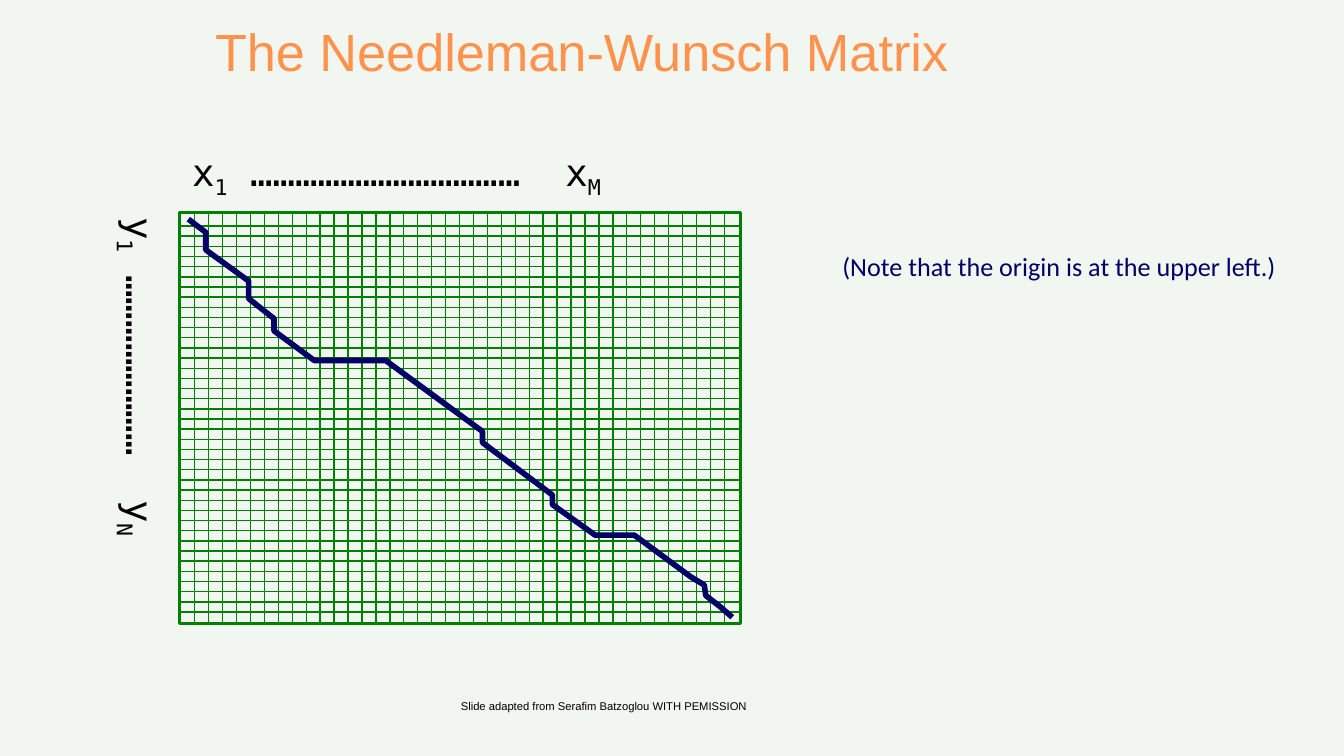
from lxml.etree import SubElement
from pptx import Presentation
from pptx.dml.color import RGBColor
from pptx.enum.shapes import MSO_CONNECTOR as Link, MSO_SHAPE as Kind
from pptx.enum.text import MSO_ANCHOR as Anchor, PP_ALIGN as Align
from pptx.oxml.ns import qn
from pptx.util import Cm, Pt

PAPER, ORANGE, GREEN, NAVY, BLACK = "F2F6F0", "FF934D", "008000", "000066", "000000"
SANS, MONO, BODY = "Arial", "DejaVu Sans Mono", "Calibri"


def color(code):
    return RGBColor.from_string(code)


class Deck:
    def __init__(self, wide, high):
        self.prs = Presentation()
        self.prs.slide_width, self.prs.slide_height = Cm(wide), Cm(high)
        self.slide = self.prs.slides.add_slide(self.prs.slide_layouts[5])
        self.shapes = self.slide.shapes
        fill = self.slide.background.fill
        fill.solid()
        fill.fore_color.rgb = color(PAPER)

    def style(self, run, size, face, code):
        run.font.size, run.font.name = Pt(size), face
        run.font.color.rgb = color(code)

    def stroke(self, shape, code, width):
        shape.line.color.rgb = color(code)
        shape.line.width = Pt(width)

    def title(self, text, x, y, w, h):
        box = self.shapes.title
        box.left, box.top, box.width, box.height = Cm(x), Cm(y), Cm(w), Cm(h)
        frame = box.text_frame
        frame.text = text
        frame.vertical_anchor = Anchor.TOP
        frame.margin_top = frame.margin_bottom = Cm(0.25)
        para = frame.paragraphs[0]
        para.alignment, para.line_spacing = Align.LEFT, 1.1
        self.style(para.runs[0], 28, SANS, ORANGE)

    def text(self, text, x, y, w, h, size, face, code):
        box = self.shapes.add_textbox(Cm(x), Cm(y), Cm(w), Cm(h))
        box.text_frame.word_wrap = True
        para = box.text_frame.paragraphs[0]
        para.text = text
        for run in para.runs:
            self.style(run, size, face, code)
        return box

    def label(self, parts, x, y, w, h, turn=0):
        """Axis label in which every second part is a subscript."""
        box = self.text("", x, y, w, h, 20, MONO, BLACK)
        box.rotation = turn
        for i, part in enumerate(parts):
            run = box.text_frame.paragraphs[0].add_run()
            run.text = part
            self.style(run, 20, MONO, BLACK)
            if i % 2:
                run._r.get_or_add_rPr().set("baseline", "-25000")

    def frame(self, x, y, w, h):
        box = self.shapes.add_shape(Kind.RECTANGLE, Cm(x), Cm(y), Cm(w), Cm(h))
        box.shadow.inherit = False
        box.fill.background()
        self.stroke(box, GREEN, 1.5)

    def line(self, x1, y1, x2, y2):
        link = self.shapes.add_connector(Link.STRAIGHT, Cm(x1), Cm(y1), Cm(x2), Cm(y2))
        self.stroke(link, GREEN, 0.75)
        SubElement(link._element.spPr, qn("a:effectLst"))

    def route(self, points):
        first, *rest = [(Cm(x), Cm(y)) for x, y in points]
        pen = self.shapes.build_freeform(*first)
        pen.add_line_segments(rest, close=False)
        shape = pen.convert_to_shape()
        shape.shadow.inherit = False
        shape.fill.background()
        self.stroke(shape, NAVY, 3)


def main():
    deck = Deck(25.4, 14.28)
    deck.title("The Needleman-Wunsch Matrix", 3.81, 0, 21.59, 2.39)
    deck.text("Slide adapted from Serafim Batzoglou WITH PEMISSION",
              8.46, 13.08, 9.73, 0.97, 6, SANS, BLACK)

    # Matrix: frame with 39 inner lines each way
    left, top, wide, high = 3.4, 4.01, 10.59, 7.77
    deck.frame(left, top, wide, high)
    count = 39
    for i in range(count):
        part = i / (count - 1)
        row, col = 4.27 + 7.29 * part, 3.68 + 10.01 * part
        deck.line(left, row, left + wide, row)
        deck.line(col, top + high, col, top)

    # Alignment route from the origin
    deck.route([
        (3.56, 4.14), (3.89, 4.39), (3.89, 4.72), (4.7, 5.31), (4.7, 5.64),
        (5.18, 6.02), (5.18, 6.25), (5.94, 6.81), (7.29, 6.81), (9.12, 8.15),
        (9.12, 8.36), (10.44, 9.35), (10.44, 9.53), (11.25, 10.11), (11.99, 10.11),
        (13.06, 10.9), (13.31, 11.05), (13.34, 11.25), (13.61, 11.46), (13.84, 11.66),
    ])

    # Axis labels and note
    deck.label(["x", "1", " ………………………………  x", "M"], 3.38, 2.69, 11.02, 1.12)
    deck.label(["y", "1", " ……………………  y", "N"], -1.42, 7.37, 8.15, 1.12, 90)
    deck.text("(Note that the origin is at the upper left.)",
              15.67, 4.6, 8.89, 2.31, 14, BODY, NAVY)

    deck.prs.save("out.pptx")


if __name__ == "__main__":
    main()
